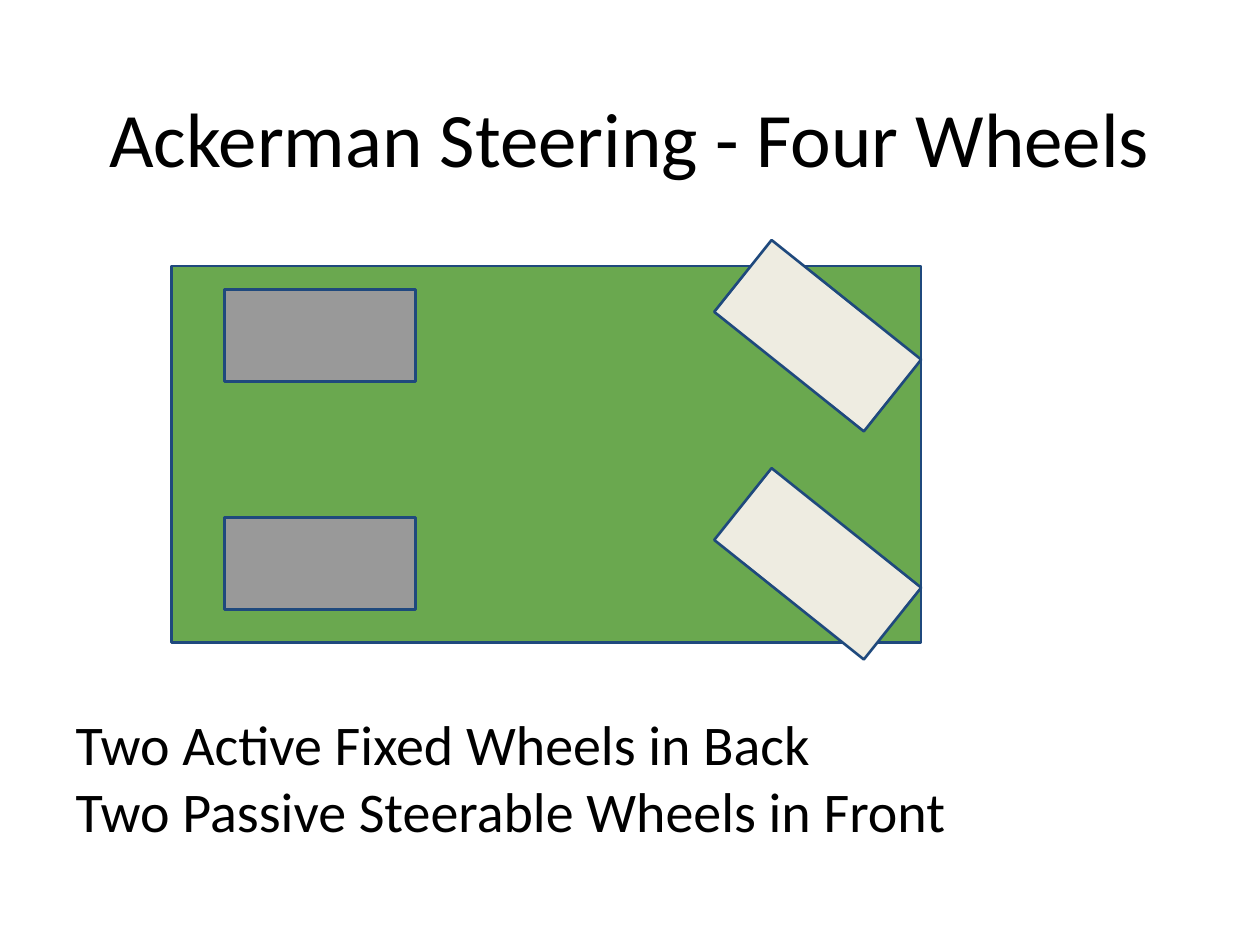
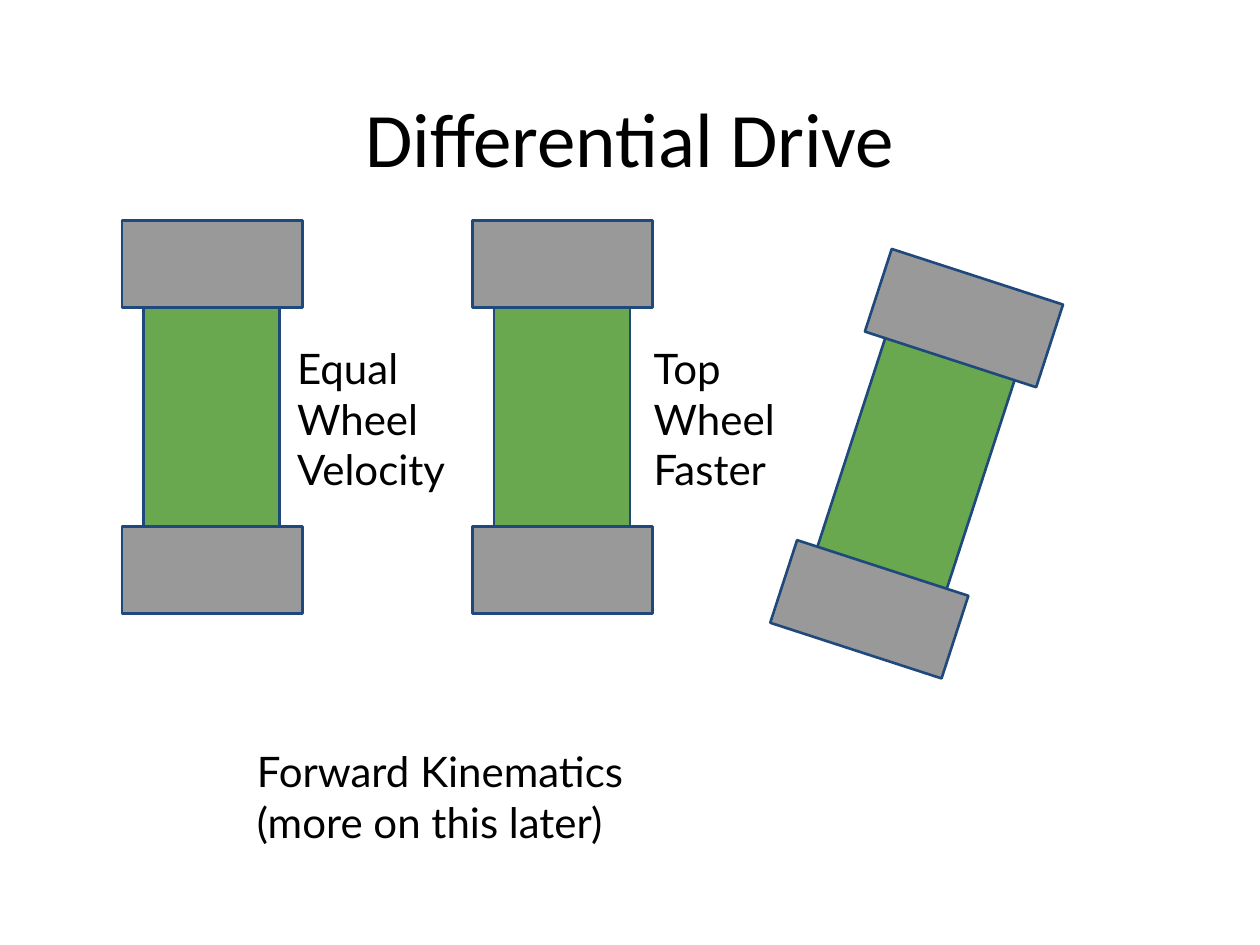
"""Build two slides on robot wheel layouts: Ackerman steering and differential drive."""
import dataclasses

import pptx
import pptx.dml.color
import pptx.enum.shapes
import pptx.enum.text
import pptx.oxml
import pptx.util

Inches = pptx.util.Inches
Pt = pptx.util.Pt
TITLE_AND_BODY, TITLE_ONLY = 1, 5


@dataclasses.dataclass(frozen=True)
class Theme:
    """Colours, fonts and type sizes shared by the slides."""
    text: str = "000000"
    chassis: str = "6AA84F"
    fixed_wheel: str = "999999"
    steered_wheel: str = "EEECE1"
    outline: str = "1F497D"
    outline_pt: float = 1.5
    main_font: str = "Calibri"
    label_font: str = "Lato"
    title_pt: int = 44
    body_pt: int = 32
    label_pt: int = 24


THEME = Theme()


def rgb(value):
    """Turn a hex string into a colour."""
    return pptx.dml.color.RGBColor.from_string(value)


def place(shape, left, top, width, height):
    """Move and size a shape, in inches."""
    shape.left, shape.top = Inches(left), Inches(top)
    shape.width, shape.height = Inches(width), Inches(height)


def fill_text(shape, lines, size, font, anchor=pptx.enum.text.MSO_ANCHOR.TOP):
    """Write lines as paragraphs and return them."""
    tf = shape.text_frame
    tf.word_wrap = True
    tf.auto_size = pptx.enum.text.MSO_AUTO_SIZE.NONE
    tf.vertical_anchor = anchor
    tf.margin_left = tf.margin_right = tf.margin_top = tf.margin_bottom = Inches(0.1)
    for i, line in enumerate(lines):
        p = tf.add_paragraph() if i else tf.paragraphs[0]
        p.space_before = Pt(0)
        r = p.add_run()
        r.text = line
        r.font.size, r.font.name = Pt(size), font
        r.font.color.rgb = rgb(THEME.text)
    return tf.paragraphs


def add_titled_slide(prs, layout, title):
    """Add a slide with its title at the shared position."""
    s = prs.slides.add_slide(prs.slide_layouts[layout])
    place(s.shapes.title, 0.5, 0.3, 9, 1.25)
    p, = fill_text(s.shapes.title, [title], THEME.title_pt, THEME.main_font,
                   pptx.enum.text.MSO_ANCHOR.BOTTOM)
    p.alignment = pptx.enum.text.PP_ALIGN.CENTER
    return s


def add_body(s, lines):
    """Fill the body placeholder with unbulleted lines."""
    body = s.placeholders[1]
    place(body, 0.5, 5.53, 9, 1.66)
    for p in fill_text(body, lines, THEME.body_pt, THEME.main_font):
        pPr = p._p.get_or_add_pPr()
        pPr.set("marL", str(Inches(0.38)))
        pPr.set("indent", str(-Inches(0.38)))
        pPr.append(pptx.oxml.parse_xml(
            '<a:buNone xmlns:a="http://schemas.openxmlformats.org/drawingml/2006/main"/>'))


def add_block(shapes, left, top, width, height, fill, rotation=0):
    """Add an outlined rectangle for a chassis or a wheel."""
    sp = shapes.add_shape(pptx.enum.shapes.MSO_SHAPE.RECTANGLE, Inches(left),
                          Inches(top), Inches(width), Inches(height))
    sp.shadow.inherit = False
    sp.fill.solid()
    sp.fill.fore_color.rgb = rgb(fill)
    sp.line.color.rgb = rgb(THEME.outline)
    sp.line.width = Pt(THEME.outline_pt)
    sp.rotation = rotation


def add_robot(s, left, top, rotation=0):
    """Add a two-wheeled robot as one group, turned about its centre."""
    robot = s.shapes.add_group_shape()
    add_block(robot.shapes, left + 0.17, top + 0.32, 1.08, 2.47, THEME.chassis)
    for offset in (2.43, 0):
        add_block(robot.shapes, left, top + offset, 1.43, 0.69, THEME.fixed_wheel)
    robot.rotation = rotation


def add_label(s, left, top, width, lines):
    """Add a text label."""
    label = s.shapes.add_textbox(Inches(left), Inches(top), Inches(width), Inches(1))
    fill_text(label, lines, THEME.label_pt, THEME.label_font)


def build_ackerman(prs):
    """Show a car with fixed back wheels and steered front wheels."""
    s = add_titled_slide(prs, TITLE_AND_BODY, "Ackerman Steering - Four Wheels")
    add_body(s, ["Two Active Fixed Wheels in Back",
                 "Two Passive Steerable Wheels in Front"])
    add_block(s.shapes, 1.36, 2.11, 5.95, 2.99, THEME.chassis)
    axles = ((1.78, THEME.fixed_wheel, 0), (5.73, THEME.steered_wheel, 38.6))
    for left, fill, rotation in axles:
        for top in (2.3, 4.11):
            add_block(s.shapes, left, top, 1.52, 0.73, fill, rotation)


def build_differential(prs):
    """Show a robot driving straight and then turning."""
    s = add_titled_slide(prs, TITLE_ONLY, "Differential Drive")
    for left, top, rotation in ((0.97, 1.75, 0), (3.75, 1.75, 0), (6.56, 2.12, 18)):
        add_robot(s, left, top, rotation)
    add_label(s, 2.26, 2.62, 1.63, ["Equal Wheel Velocity"])
    add_label(s, 5.09, 2.62, 1.63, ["Top Wheel Faster"])
    add_label(s, 1.94, 5.82, 5.35, ["Forward Kinematics", "(more on this later)"])


def main():
    """Build and save the presentation."""
    prs = pptx.Presentation()
    prs.slide_width, prs.slide_height = Inches(10), Inches(7.5)
    build_ackerman(prs)
    build_differential(prs)
    prs.save("out.pptx")


if __name__ == "__main__":
    main()
